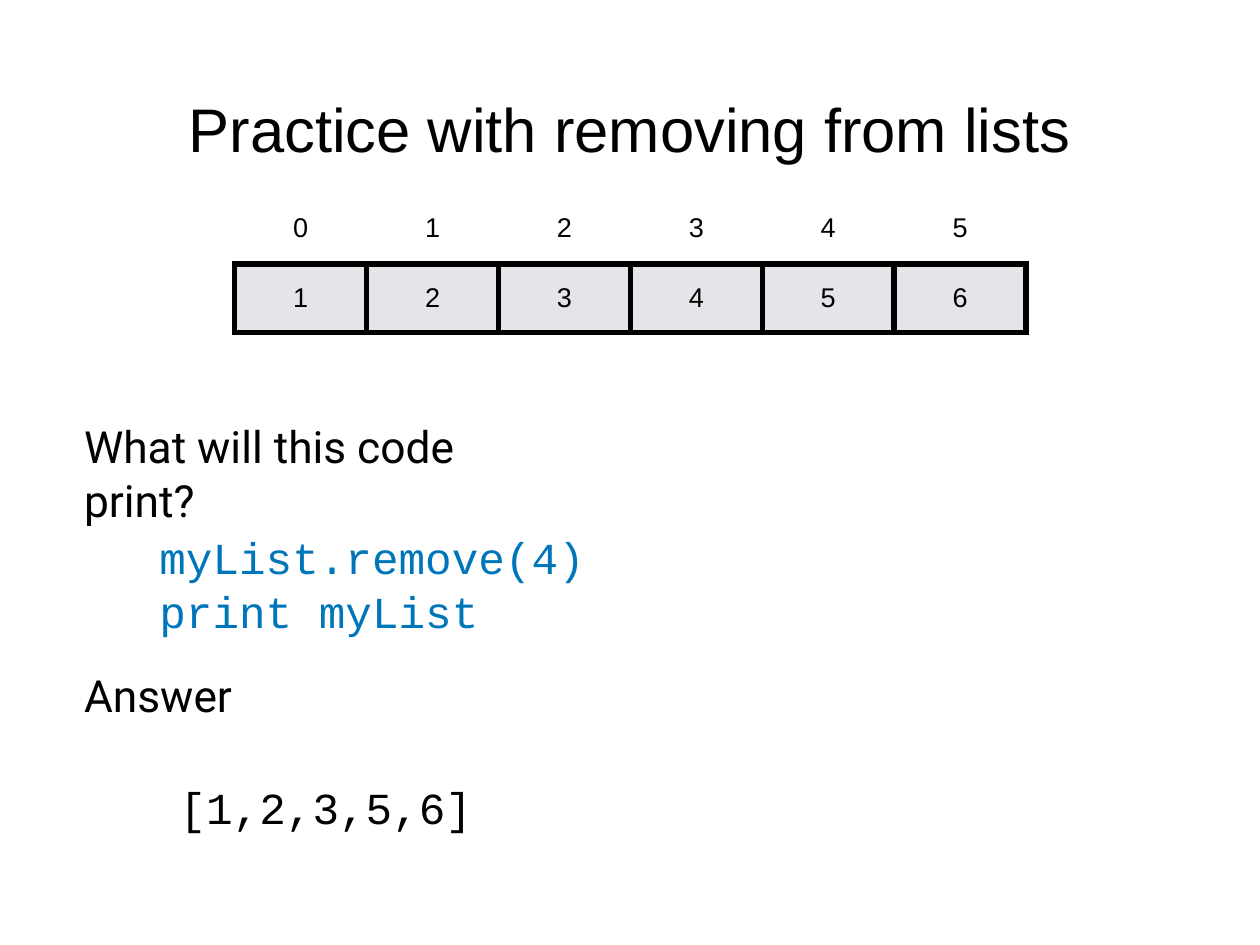
from lxml.etree import SubElement
from pptx import Presentation
from pptx.dml.color import RGBColor
from pptx.enum.text import MSO_ANCHOR as Anchor, PP_ALIGN as Align
from pptx.oxml.ns import qn
from pptx.util import Cm, Pt

BLACK = RGBColor(0x00, 0x00, 0x00)
WHITE = RGBColor(0xFF, 0xFF, 0xFF)
GREY = RGBColor(0xE3, 0xE5, 0xE8)
BLUE = RGBColor(0x00, 0x76, 0xBA)
SANS, BODY, MONO = "Arial", "Roboto", "Courier New"
INSET = Cm(0.15)


class SlideBuilder:
    def __init__(self, s):
        self.s = s

    def style(self, p, text, font, size, color, align):
        p.alignment = align
        r = p.add_run()
        r.text = text
        for name, value in {"name": font, "size": Pt(size)}.items():
            setattr(r.font, name, value)
        r.font.color.rgb = color

    def text(self, box, lines, font, size=36, color=BLACK,
             align=Align.LEFT, spacing=44):
        tf = self.s.shapes.add_textbox(*map(Cm, box)).text_frame
        frame = {"word_wrap": True, "vertical_anchor": Anchor.MIDDLE}
        for side in ("left", "right", "top", "bottom"):
            frame[f"margin_{side}"] = INSET
        for name, value in frame.items():
            setattr(tf, name, value)
        for i, line in enumerate(lines):
            p = tf.add_paragraph() if i else tf.paragraphs[0]
            p.line_spacing = Pt(spacing)
            self.style(p, line, font, size, color, align)

    def border(self, cell, sides):
        tcPr = cell._tc.get_or_add_tcPr()
        for i, side in enumerate(sides):
            ln = SubElement(tcPr, qn(f"a:ln{side}"), w=str(Pt(5)))
            fill = SubElement(ln, qn("a:solidFill"))
            SubElement(fill, qn("a:srgbClr"), val=str(BLACK))
            tcPr.insert(i, ln)

    def table(self, left, top, col_width, rows):
        heights = [height for height, *_ in rows]
        count = len(rows[0][-1])
        tbl = self.s.shapes.add_table(
            len(rows), count, Cm(left), Cm(top),
            Cm(col_width * count), Cm(sum(heights))).table
        tbl.first_row = tbl.horz_banding = False
        for col in tbl.columns:
            col.width = Cm(col_width)
        for i, (height, color, sides, values) in enumerate(rows):
            tbl.rows[i].height = Cm(height)
            for j, value in enumerate(values):
                cell = tbl.cell(i, j)
                cell.vertical_anchor = Anchor.MIDDLE
                for side in ("left", "right", "top", "bottom"):
                    setattr(cell, f"margin_{side}", INSET)
                cell.fill.solid()
                cell.fill.fore_color.rgb = color
                self.border(cell, sides)
                self.style(cell.text_frame.paragraphs[0], str(value),
                           SANS, 22, BLACK, Align.CENTER)


def main():
    prs = Presentation()
    prs.slide_width, prs.slide_height = Cm(36.12), Cm(27.1)
    b = SlideBuilder(prs.slides.add_slide(prs.slide_layouts[6]))
    b.text((2.64, 0.71, 30.84, 6), ["Practice with removing from lists"],
           SANS, 50, align=Align.CENTER, spacing=58)
    b.table(6.73, 5.54, 3.78, [
        (2.03, WHITE, "B", range(6)),
        (1.96, GREY, "LRTB", range(1, 7)),
    ])
    b.text((2.26, 12.65, 14, 1.8), ["What will this code print?"], BODY)
    b.text((4.42, 15.14, 13.28, 3.18), ["myList.remove(4)", "print myList"],
           MONO, color=BLUE)
    b.text((2.26, 19.02, 4.8, 1.8), ["Answer"], BODY)
    b.text((5, 22.25, 9, 1.73), ["[1,2,3,5,6]"], MONO)
    prs.save("out.pptx")


if __name__ == "__main__":
    main()
